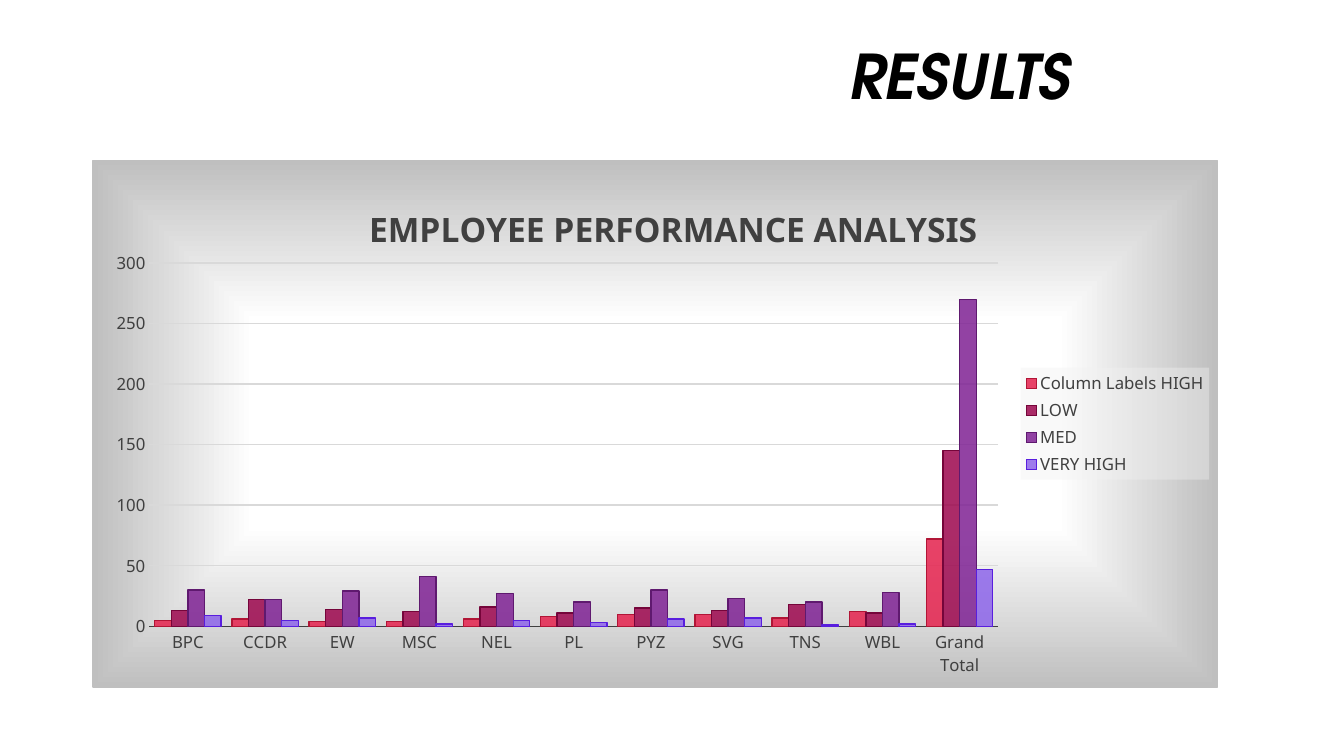
"""Build the results slide with the employee performance column chart."""
from dataclasses import dataclass

from lxml.etree import SubElement
from pptx import Presentation
from pptx.chart.chart import Chart
from pptx.chart.data import CategoryChartData
from pptx.dml.color import RGBColor
from pptx.enum.chart import XL_CHART_TYPE, XL_LEGEND_POSITION, XL_TICK_MARK
from pptx.enum.text import MSO_AUTO_SIZE
from pptx.oxml import parse_xml
from pptx.oxml.ns import nsdecls, qn
from pptx.slide import Slide
from pptx.text.text import Font, TextFrame
from pptx.util import Cm, Pt

BLACK = RGBColor(0x00, 0x00, 0x00)
CHARCOAL = RGBColor(0x40, 0x40, 0x40)
GRID_GREY = RGBColor(0xD9, 0xD9, 0xD9)
FRAME_GREY = RGBColor(0xBF, 0xBF, 0xBF)
LEGEND_GREY = RGBColor(0xF2, 0xF2, 0xF2)
WHITE = RGBColor(0xFF, 0xFF, 0xFF)
BODY_FONT = "Noto Sans"
HEADING_FONT = "TeX Gyre Adventor"
TEAMS = ("BPC", "CCDR", "EW", "MSC", "NEL", "PL", "PYZ", "SVG", "TNS", "WBL",
         "Grand Total")


@dataclass(frozen=True)
class Rating:
    name: str
    counts: tuple[int, ...]
    fill: RGBColor
    outline: RGBColor


RATINGS = (
    Rating("Column Labels HIGH", (5, 6, 4, 4, 6, 8, 10, 10, 7, 12, 72),
           RGBColor(0xE5, 0x22, 0x4E), RGBColor(0xB1, 0x15, 0x36)),
    Rating("LOW", (13, 22, 14, 12, 16, 11, 15, 13, 18, 11, 145),
           RGBColor(0x9D, 0x07, 0x4E), RGBColor(0x75, 0x05, 0x3A)),
    Rating("MED", (30, 22, 29, 41, 27, 20, 30, 23, 20, 28, 270),
           RGBColor(0x7F, 0x22, 0x94), RGBColor(0x5F, 0x19, 0x6F)),
    Rating("VERY HIGH", (9, 5, 7, 2, 5, 3, 6, 7, 1, 2, 47),
           RGBColor(0x8D, 0x65, 0xEA), RGBColor(0x59, 0x1E, 0xDE)),
)


def style_font(font: Font, size: float, color: RGBColor = CHARCOAL, name: str = BODY_FONT,
               bold: bool = False, italic: bool = False) -> None:
    font.size, font.name, font.bold, font.italic = Pt(size), name, bold, italic
    font.color.rgb = color


def write_text(frame: TextFrame, text: str, **style) -> None:
    run = frame.paragraphs[0].add_run()
    run.text = text
    style_font(run.font, **style)


def place(element, index: int, **fractions: float) -> None:
    """Give a chart part a manual layout in fractions of the chart."""
    for old in element.findall(qn("c:layout")):
        element.remove(old)
    layout = parse_xml(f'<c:layout {nsdecls("c")}><c:manualLayout/></c:layout>')
    manual = layout[0]
    if "w" in fractions:
        SubElement(manual, qn("c:layoutTarget")).set("val", "inner")
    for axis in "xy":
        SubElement(manual, qn(f"c:{axis}Mode")).set("val", "edge")
    for key, fraction in fractions.items():
        SubElement(manual, qn(f"c:{key}")).set("val", str(fraction))
    element.insert(index, layout)


def style_background(chart: Chart) -> None:
    stops = "".join(f'<a:gs pos="{position}"><a:srgbClr val="{color}"/></a:gs>'
                    for position, color in ((0, WHITE), (39000, WHITE), (100000, FRAME_GREY)))
    chart.element.find(qn("c:chart")).addnext(parse_xml(
        f'<c:spPr {nsdecls("c", "a")}><a:gradFill><a:gsLst>{stops}</a:gsLst>'
        '<a:path path="rect"><a:fillToRect l="50000" t="50000" r="50000" b="50000"/></a:path>'
        f'</a:gradFill><a:ln w="{Pt(1)}"><a:solidFill><a:srgbClr val="{FRAME_GREY}"/>'
        '</a:solidFill></a:ln></c:spPr>'))


def style_axes(chart: Chart) -> None:
    for axis in (chart.category_axis, chart.value_axis):
        axis.major_tick_mark = axis.minor_tick_mark = XL_TICK_MARK.NONE
        style_font(axis.tick_labels.font, 12)
    baseline = chart.category_axis.format.line
    baseline.width = Pt(1)
    baseline.color.rgb = CHARCOAL
    counts = chart.value_axis
    counts.minimum_scale, counts.maximum_scale, counts.major_unit = 0, 300, 50
    counts.format.line.fill.background()
    counts.major_gridlines.format.line.width = Pt(1)
    counts.major_gridlines.format.line.color.rgb = GRID_GREY


def style_legend(chart: Chart) -> None:
    chart.has_legend = True
    legend = chart.legend
    legend.position = XL_LEGEND_POSITION.RIGHT
    legend.include_in_layout = False
    style_font(legend.font, 12)
    legend._element.find(qn("c:overlay")).addnext(parse_xml(
        f'<c:spPr {nsdecls("c", "a")}><a:solidFill><a:srgbClr val="{LEGEND_GREY}">'
        '<a:alpha val="39000"/></a:srgbClr></a:solidFill></c:spPr>'))


def style_columns(chart: Chart) -> None:
    plot = chart.plots[0]
    plot.gap_width, plot.overlap, plot.vary_by_categories = 65, 0, False
    for series, rating in zip(plot.series, RATINGS):
        series.format.fill.solid()
        series.format.fill.fore_color.rgb = rating.fill
        color = series._element.find(
            "/".join(map(qn, ("c:spPr", "a:solidFill", "a:srgbClr"))))
        SubElement(color, qn("a:alpha")).set("val", "85000")
        series.format.line.width = Pt(1)
        series.format.line.color.rgb = rating.outline


def add_performance_chart(slide: Slide) -> None:
    performance = CategoryChartData()
    performance.categories = TEAMS
    for rating in RATINGS:
        performance.add_series(rating.name, rating.counts)
    chart = slide.shapes.add_chart(XL_CHART_TYPE.COLUMN_CLUSTERED, Cm(2.33), Cm(4.02),
                                   Cm(28.37), Cm(13.31), performance).chart
    style_font(chart.font, 10, BLACK)
    chart.has_title = True
    write_text(chart.chart_title.text_frame, "EMPLOYEE PERFORMANCE ANALYSIS",
               size=24, bold=True)
    place(chart.chart_title._element, 1, x=0.24, y=0.07)
    place(chart.element.find(f'{qn("c:chart")}/{qn("c:plotArea")}'), 0,
          x=0.05, y=0.195, w=0.755, h=0.69)
    style_background(chart)
    style_axes(chart)
    style_legend(chart)
    style_columns(chart)


def add_heading(slide: Slide) -> None:
    frame = slide.shapes.add_textbox(Cm(21.15), Cm(0.84), Cm(12.5), Cm(2.13)).text_frame
    frame.word_wrap = True
    frame.auto_size = MSO_AUTO_SIZE.SHAPE_TO_FIT_TEXT
    write_text(frame, "RESULTS", size=44, color=BLACK, name=HEADING_FONT,
               bold=True, italic=True)


def main() -> None:
    deck = Presentation()
    deck.slide_width, deck.slide_height = Cm(33.87), Cm(19.05)
    slide = deck.slides.add_slide(deck.slide_layouts[6])
    add_performance_chart(slide)
    add_heading(slide)
    deck.save("out.pptx")


if __name__ == "__main__":
    main()
